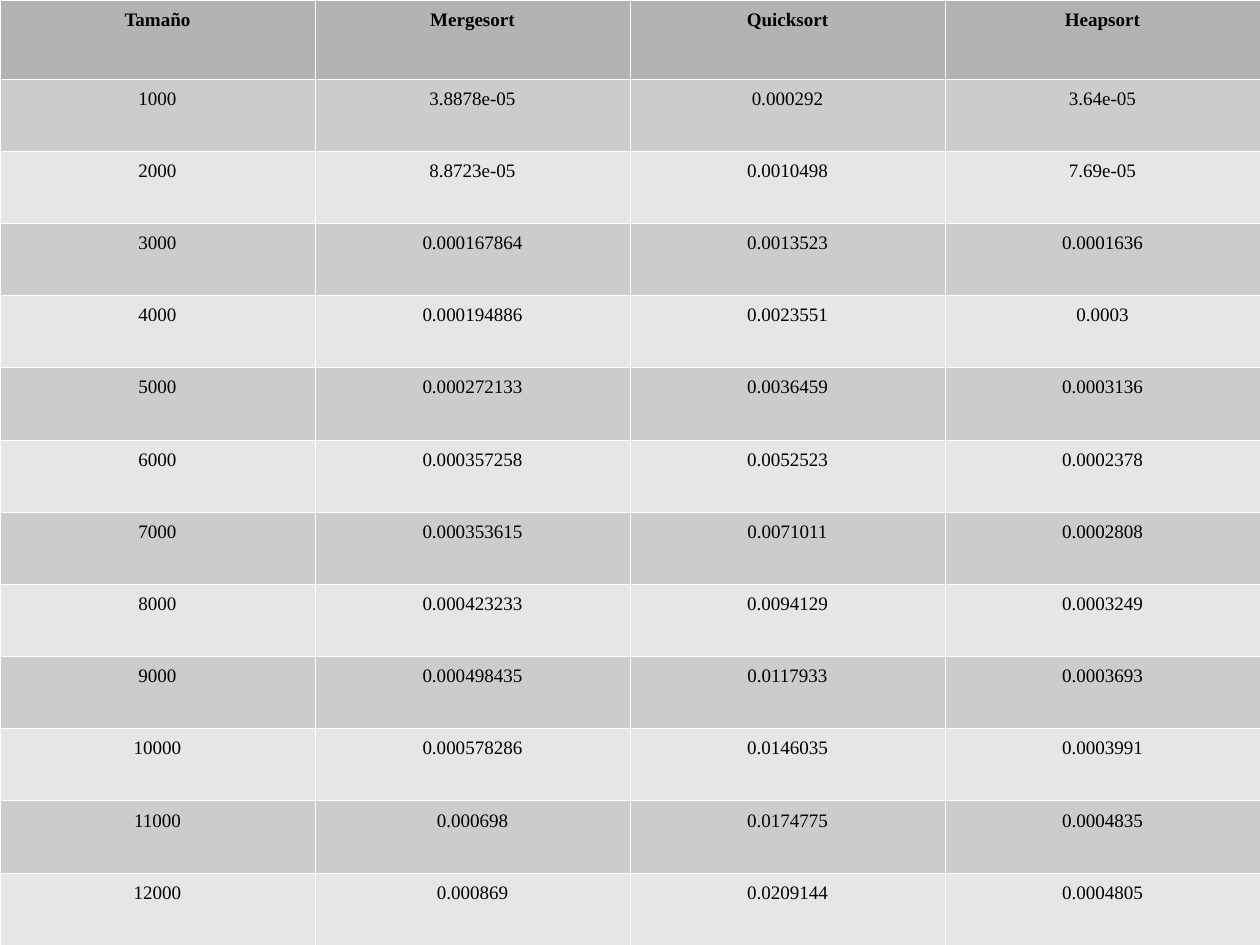
from dataclasses import dataclass

from lxml.etree import SubElement
from pptx import Presentation
from pptx.dml.color import RGBColor
from pptx.enum.text import PP_ALIGN
from pptx.oxml.ns import qn
from pptx.util import Cm, Pt


@dataclass(frozen=True)
class Theme:
    font: str = "Times New Roman"
    size: float = 12
    leading: float = 1.18
    ink: str = "000000"
    head: str = "B3B3B3"
    bands: tuple = ("CCCCCC", "E6E6E6")
    rule: str = "FFFFFF"
    hairline: float = 0.06


HEADS = ("Tamaño", "Mergesort", "Quicksort", "Heapsort")
TIMES = (
    ("3.8878e-05", "0.000292", "3.64e-05"),
    ("8.8723e-05", "0.0010498", "7.69e-05"),
    ("0.000167864", "0.0013523", "0.0001636"),
    ("0.000194886", "0.0023551", "0.0003"),
    ("0.000272133", "0.0036459", "0.0003136"),
    ("0.000357258", "0.0052523", "0.0002378"),
    ("0.000353615", "0.0071011", "0.0002808"),
    ("0.000423233", "0.0094129", "0.0003249"),
    ("0.000498435", "0.0117933", "0.0003693"),
    ("0.000578286", "0.0146035", "0.0003991"),
    ("0.000698", "0.0174775", "0.0004835"),
    ("0.000869", "0.0209144", "0.0004805"),
)


class Page:
    def __init__(self, deck, theme):
        self.theme = theme
        self.wide, self.high = deck.slide_width, deck.slide_height
        self.slide = deck.slides.add_slide(deck.slide_layouts[6])

    def table(self, rows, top):
        """Fill the slide with a table; top is the header's share of its height."""
        count, cols = len(rows), len(rows[0])
        table = self.slide.shapes.add_table(
            count, cols, 0, 0, self.wide, self.high).table
        for col in table.columns:
            col.width = round(self.wide / cols)
        body = (1 - top) / (count - 1)
        for i, row in enumerate(rows):
            table.rows[i].height = round(self.high * (body if i else top))
            shade = self.theme.bands[(i - 1) % 2] if i else self.theme.head
            for j, text in enumerate(row):
                self.cell(table.cell(i, j), text, shade, bold=i == 0)

    def cell(self, cell, text, shade, bold):
        self.border(cell)
        cell.fill.solid()
        cell.fill.fore_color.rgb = RGBColor.from_string(shade)
        cell.text = text
        para = cell.text_frame.paragraphs[0]
        para.alignment = PP_ALIGN.CENTER
        para.line_spacing = self.theme.leading
        font = para.font
        font.name, font.size, font.bold = self.theme.font, Pt(self.theme.size), bold
        font.color.rgb = RGBColor.from_string(self.theme.ink)

    def border(self, cell):
        props = cell._tc.get_or_add_tcPr()
        for side in "LRTB":
            line = SubElement(props, qn(f"a:ln{side}"), w=str(Pt(self.theme.hairline)))
            fill = SubElement(line, qn("a:solidFill"))
            SubElement(fill, qn("a:srgbClr"), val=self.theme.rule)


def main():
    deck = Presentation()
    deck.slide_width, deck.slide_height = Cm(28), Cm(21)
    rows = [HEADS] + [(str(1000 * n), *row) for n, row in enumerate(TIMES, 1)]
    Page(deck, Theme()).table(rows, top=1 / 12)
    deck.save("out.pptx")


if __name__ == "__main__":
    main()
